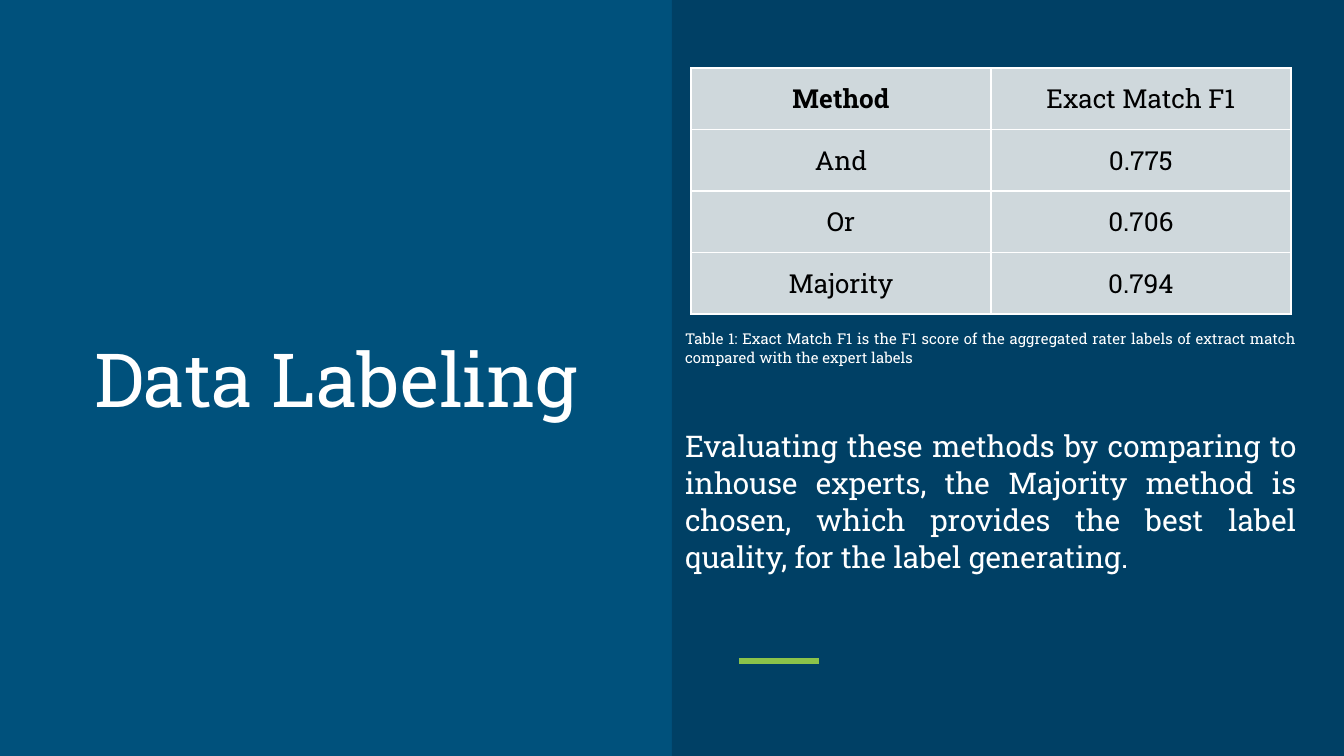
from dataclasses import dataclass

from lxml.etree import SubElement
from pptx import Presentation
from pptx.dml.color import RGBColor as RGB
from pptx.enum.shapes import MSO_CONNECTOR as CONNECTOR, MSO_SHAPE as SHAPE
from pptx.enum.text import MSO_ANCHOR as ANCHOR, PP_ALIGN as ALIGN
from pptx.oxml.ns import qn
from pptx.util import Pt

EMU_PER_PX = 914400 * 10 / 1344
SLIDE_W, SLIDE_H = 1344, 756
INSET = 13


@dataclass(frozen=True)
class Theme:
    font: str = "Roboto Slab"
    background: RGB = RGB(0x00, 0x51, 0x7C)
    panel: RGB = RGB(0x00, 0x40, 0x65)
    accent: RGB = RGB(0x8B, 0xC3, 0x4A)
    cell: RGB = RGB(0xCF, 0xD8, 0xDC)
    light: RGB = RGB(0xFF, 0xFF, 0xFF)
    dark: RGB = RGB(0x00, 0x00, 0x00)
    title_size: int = 40
    body_size: int = 16
    table_size: int = 14
    caption_size: int = 8


THEME = Theme()
SCORES = [
    ("Method", "Exact Match F1"),
    ("And", "0.775"),
    ("Or", "0.706"),
    ("Majority", "0.794"),
]
CAPTION = ("Table 1: Exact Match F1 is the F1 score of the aggregated rater labels "
           "of extract match compared with the expert labels")
CONCLUSION = ("Evaluating these methods by comparing to inhouse experts, the Majority "
              "method is chosen, which provides the best label quality, for the label "
              "generating.")


def px(length):
    return round(length * EMU_PER_PX)


def box_emu(*lengths):
    return [px(length) for length in lengths]


def style(paragraph, text, size, color, align, bold=False):
    paragraph.text = text
    paragraph.alignment = align
    font = paragraph.font
    font.name, font.size, font.bold = THEME.font, Pt(size), bold
    font.color.rgb = color


def add_text_frame(slide, box, anchor):
    frame = slide.shapes.add_textbox(*box_emu(*box)).text_frame
    frame.word_wrap = True
    frame.vertical_anchor = anchor
    frame.margin_left = frame.margin_right = px(INSET)
    frame.margin_top = frame.margin_bottom = px(INSET)
    return frame


def border_cell(cell):
    # Borders must come before the fill in the cell properties
    properties = cell._tc.get_or_add_tcPr()
    for side in ("a:lnL", "a:lnR", "a:lnT", "a:lnB"):
        line = SubElement(properties, qn(side), w=str(Pt(0.75)))
        fill = SubElement(line, qn("a:solidFill"))
        SubElement(fill, qn("a:srgbClr"), val=str(THEME.light))


def add_score_table(slide, left, top, width, height):
    rows, columns = len(SCORES), len(SCORES[0])
    table = slide.shapes.add_table(
        rows, columns, *box_emu(left, top, width, height)).table
    for r, row in enumerate(SCORES):
        for c, text in enumerate(row):
            cell = table.cell(r, c)
            border_cell(cell)
            cell.fill.solid()
            cell.fill.fore_color.rgb = THEME.cell
            cell.vertical_anchor = ANCHOR.MIDDLE
            cell.margin_left = cell.margin_right = px(INSET)
            cell.margin_top = cell.margin_bottom = px(INSET)
            style(cell.text_frame.paragraphs[0], text, THEME.table_size,
                  THEME.dark, ALIGN.CENTER, bold=(r, c) == (0, 0))


def add_title_side(slide, left, top, width, height):
    frame = add_text_frame(
        slide, (left + 39, top + 267, width - 78, 222), ANCHOR.MIDDLE)
    style(frame.paragraphs[0], "Data Labeling", THEME.title_size,
          THEME.light, ALIGN.CENTER)


def add_result_side(slide, left, top, width, height):
    # Dark panel
    panel = slide.shapes.add_shape(
        SHAPE.RECTANGLE, *box_emu(left, top, width, height))
    panel.shadow.inherit = False
    panel.fill.solid()
    panel.fill.fore_color.rgb = THEME.panel
    panel.line.fill.background()

    # Accent rule
    rule = slide.shapes.add_connector(
        CONNECTOR.STRAIGHT, *box_emu(left + 67, top + 661, left + 147, top + 661))
    rule.line.color.rgb = THEME.accent
    rule.line.width = Pt(3)
    SubElement(rule._element.spPr, qn("a:effectLst"))

    # Scores, then caption and conclusion
    add_score_table(slide, left + 19, top + 68, 600, 246)
    frame = add_text_frame(slide, (left, top + 316, 638, 304), ANCHOR.TOP)
    caption, conclusion = frame.paragraphs[0], frame.add_paragraph()
    style(caption, CAPTION, THEME.caption_size, THEME.light, ALIGN.JUSTIFY)
    style(conclusion, CONCLUSION, THEME.body_size, THEME.light, ALIGN.JUSTIFY)
    caption.line_spacing = conclusion.line_spacing = 1.04
    conclusion.space_before = Pt(32)


def main():
    deck = Presentation()
    deck.slide_width, deck.slide_height = box_emu(SLIDE_W, SLIDE_H)
    slide = deck.slides.add_slide(deck.slide_layouts[6])
    slide.background.fill.solid()
    slide.background.fill.fore_color.rgb = THEME.background

    half = SLIDE_W // 2
    add_title_side(slide, 0, 0, half, SLIDE_H)
    add_result_side(slide, half, 0, half, SLIDE_H)
    deck.save("out.pptx")


if __name__ == "__main__":
    main()
